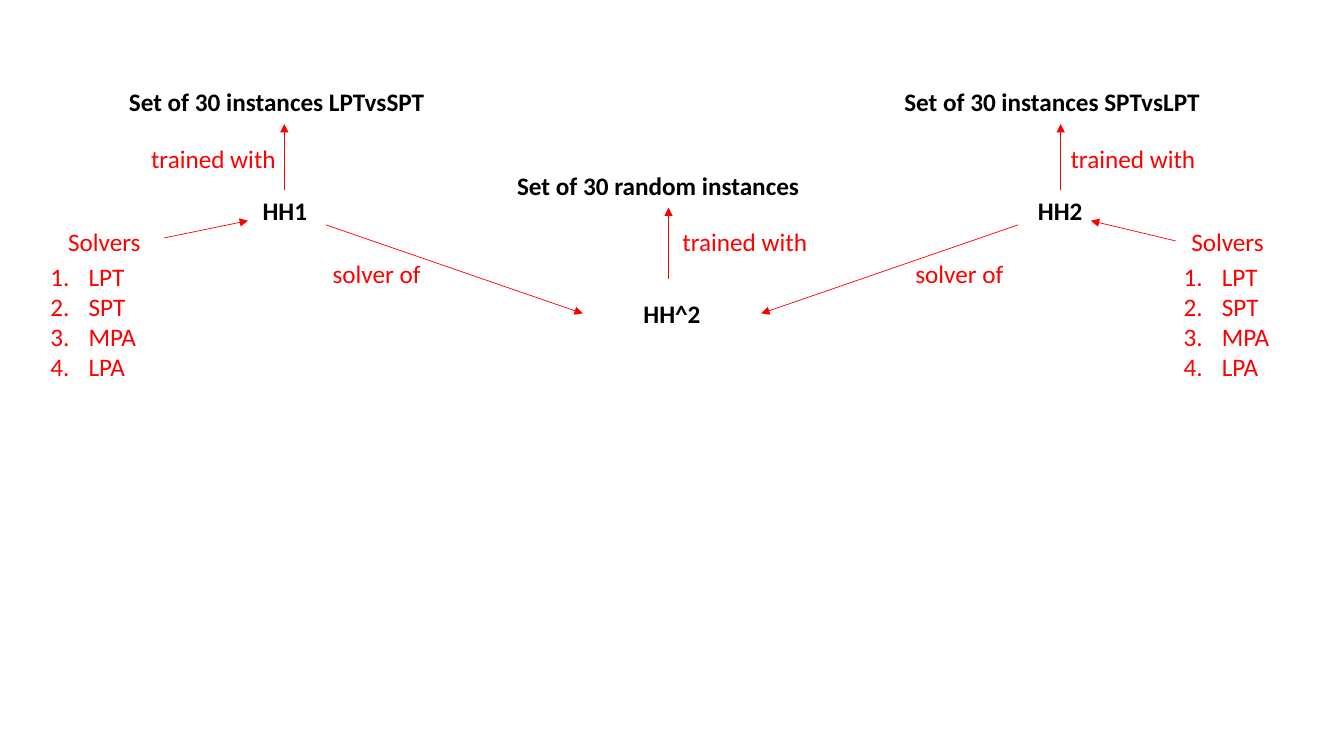
from dataclasses import dataclass

from lxml.etree import SubElement
from pptx import Presentation
from pptx.dml.color import RGBColor
from pptx.enum.shapes import MSO_CONNECTOR
from pptx.enum.text import MSO_AUTO_SIZE, PP_ALIGN
from pptx.oxml.ns import qn
from pptx.util import Inches, Pt


@dataclass(frozen=True)
class Theme:
    font: str = "Calibri"
    size: float = 18
    line_width: float = 0.5
    node: RGBColor = RGBColor(0, 0, 0)
    relation: RGBColor = RGBColor(255, 0, 0)


class Diagram:
    """Holds the theme and the current slide."""

    def __init__(self, slide, theme):
        self.slide = slide
        self.theme = theme

    def text(self, x, y, w, lines, color, bold=False, centred=False, numbered=False):
        height = 0.4 if len(lines) == 1 else 1.31
        sp = self.slide.shapes.add_textbox(Inches(x), Inches(y), Inches(w), Inches(height))
        tf = sp.text_frame
        tf.word_wrap = True
        tf.auto_size = MSO_AUTO_SIZE.SHAPE_TO_FIT_TEXT
        for i, line in enumerate(lines):
            p = tf.paragraphs[0] if i == 0 else tf.add_paragraph()
            p.alignment = PP_ALIGN.CENTER if centred else PP_ALIGN.LEFT
            if numbered:
                self.number(p)
            r = p.add_run()
            r.text = line
            r.font.name = self.theme.font
            r.font.size = Pt(self.theme.size)
            r.font.bold = bold
            r.font.color.rgb = color

    def number(self, p):
        pPr = p._p.get_or_add_pPr()
        indent = Inches(0.38)
        pPr.set("marL", str(indent))
        pPr.set("indent", str(-indent))
        SubElement(pPr, qn("a:buFont")).set("typeface", "+mj-lt")
        SubElement(pPr, qn("a:buAutoNum")).set("type", "arabicPeriod")

    def node(self, x, y, name):
        self.text(x, y, 1.77, [name], self.theme.node, bold=True, centred=True)

    def instances(self, x, y, title):
        self.text(x, y, 3.28, [title], self.theme.node, bold=True)

    def label(self, x, y, words, centred=False):
        self.text(x, y, 1.77, [words], self.theme.relation, centred=centred)

    def numbered_list(self, x, y, items):
        self.text(x, y, 1.28, items, self.theme.relation, numbered=True)

    def arrow(self, x1, y1, x2, y2):
        line = self.slide.shapes.add_connector(
            MSO_CONNECTOR.STRAIGHT, Inches(x1), Inches(y1), Inches(x2), Inches(y2))
        line.line.color.rgb = self.theme.relation
        line.line.width = Pt(self.theme.line_width)
        SubElement(line.line._get_or_add_ln(), qn("a:tailEnd")).set("type", "triangle")
        SubElement(line._element.spPr, qn("a:effectLst"))


SOLVERS = ["LPT", "SPT", "MPA", "LPA"]


def main():
    prs = Presentation()
    prs.slide_width, prs.slide_height = Inches(13.33), Inches(7.5)
    d = Diagram(prs.slides.add_slide(prs.slide_layouts[6]), Theme())

    # Hyper-heuristics and the instances they are trained with
    trained = [
        ("HH1", 1.94, 1.89, "Set of 30 instances LPTvsSPT", 1.18, 0.81, 2.82, 1.4),
        ("HH2", 9.63, 1.89, "Set of 30 instances SPTvsLPT", 8.87, 0.81, 10.52, 10.52),
        ("HH^2", 5.78, 2.91, "Set of 30 random instances", 5.03, 1.64, 6.63, 6.67),
    ]
    for name, x, y, title, title_x, title_y, arrow_x, label_x in trained:
        d.node(x, y, name)
        d.instances(title_x, title_y, title)
        d.arrow(arrow_x, title_y + 1.08 + 0.05 * (name == "HH^2"), arrow_x, title_y + 0.42)
        d.label(label_x, title_y + 0.56, "trained with")

    # HH1 and HH2 act as solvers of HH^2
    for start_x, end_x, label_x in [(3.23, 5.78, 3.2), (10.1, 7.55, 8.98)]:
        d.arrow(start_x, 2.23, end_x, 3.11)
        d.label(label_x, 2.51, "solver of")

    # Basic solvers feeding HH1 and HH2
    for list_x, head_x, start_x, start_y, end_x in [
        (0.4, 0.15, 1.63, 2.36, 2.46),
        (11.64, 11.29, 11.66, 2.39, 10.82),
    ]:
        d.numbered_list(list_x, 2.54, SOLVERS)
        d.label(head_x, 2.2, "Solvers", centred=True)
        d.arrow(start_x, start_y, end_x, 2.19)

    prs.save("out.pptx")


if __name__ == "__main__":
    main()
